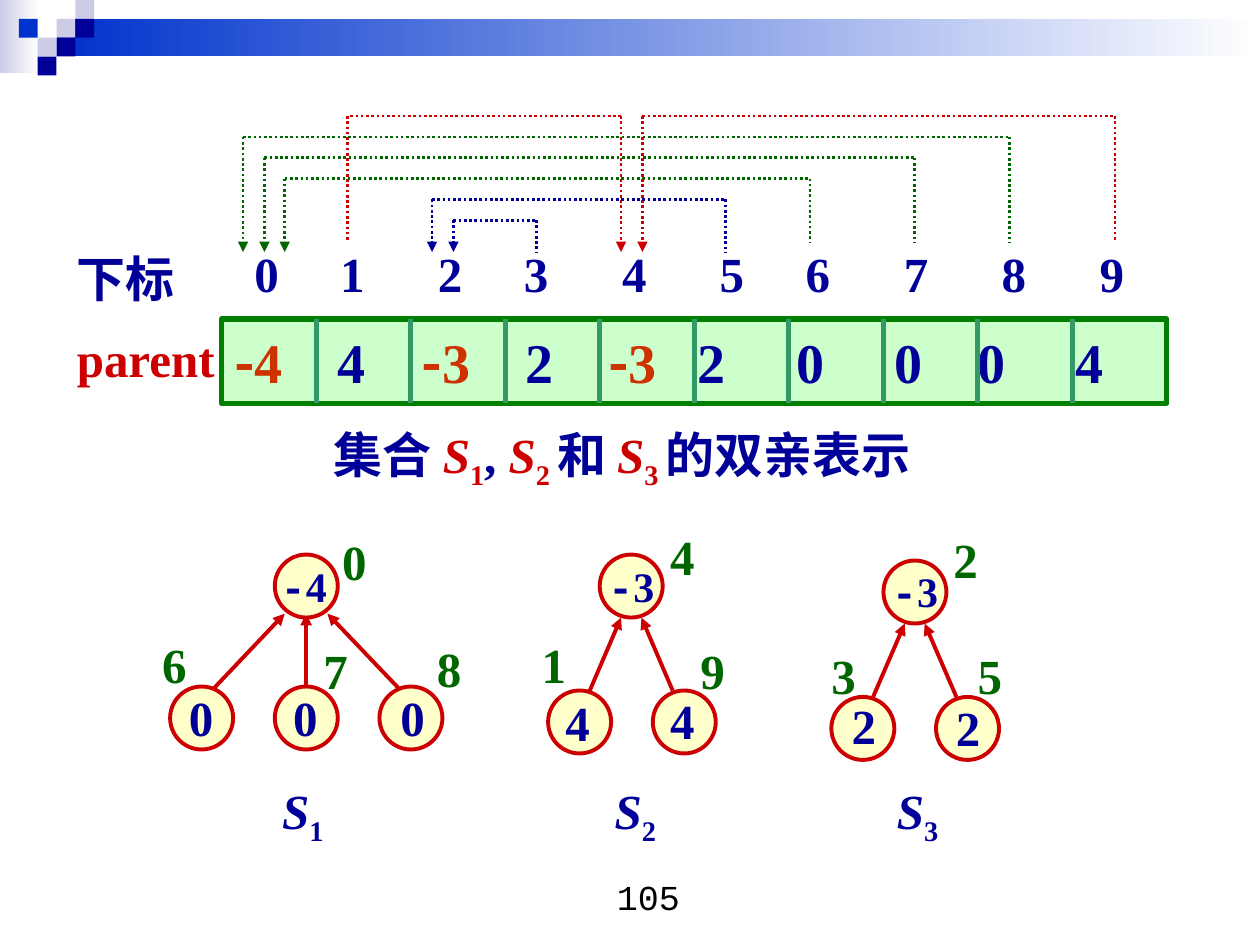
from lxml import etree
from pptx import Presentation
from pptx.dml.color import RGBColor
from pptx.enum.dml import MSO_LINE
from pptx.enum.shapes import MSO_CONNECTOR, MSO_SHAPE
from pptx.enum.text import MSO_ANCHOR, PP_ALIGN
from pptx.oxml.ns import qn
from pptx.util import Cm, Pt

RECTANGLE, OVAL = MSO_SHAPE.RECTANGLE, MSO_SHAPE.OVAL
STRAIGHT = MSO_CONNECTOR.STRAIGHT
DOTTED = MSO_LINE.ROUND_DOT
MIDDLE = MSO_ANCHOR.MIDDLE
LEFT, CENTER = PP_ALIGN.LEFT, PP_ALIGN.CENTER

THEME = {
    "navy": "000099", "blue": "0033CC", "lilac": "CCCCE6", "white": "FFFFFF",
    "red": "CC0000", "orange": "CC3300", "green": "006600", "border": "008000",
    "divider": "339966", "mint": "CCFFCC", "cream": "FFFFCC", "black": "000000",
    "serif": "Times New Roman", "mono": "Courier New", "cjk": "Noto Sans CJK SC",
    "cell": 32, "body": 28, "root": 24, "number": 20,
}


def add_text(frame, paragraphs, tabs=(), align=LEFT, **base):
    frame.word_wrap = True
    for number, spans in enumerate(paragraphs):
        para = frame.add_paragraph() if number else frame.paragraphs[0]
        para.alignment = align
        if number:
            para.space_before = Pt(12.2)
        if tabs:
            tab_list = etree.SubElement(para._p.get_or_add_pPr(), qn("a:tabLst"))
            for stop in tabs:
                etree.SubElement(tab_list, qn("a:tab"), pos=str(Cm(stop)), algn="l")
        for text, changes in spans:
            style = {"color": "navy", "font": "serif", "size": "body",
                     "bold": True, "italic": False, "sub": False} | base | changes
            span = para.add_run()
            span.text = text
            values = {"name": THEME[style["font"]], "size": Pt(THEME[style["size"]]),
                      "bold": style["bold"], "italic": style["italic"]}
            for name, value in values.items():
                setattr(span.font, name, value)
            span.font.color.rgb = RGBColor.from_string(THEME[style["color"]])
            properties = span._r.get_or_add_rPr()
            etree.SubElement(properties, qn("a:ea"), typeface=THEME["cjk"])
            if style["sub"]:
                properties.set("baseline", "-25000")


def add_line(start, end, color, width, dash=None, arrow=False):
    line = page.shapes.add_connector(STRAIGHT, *map(Cm, start + end))
    line.line.color.rgb = RGBColor.from_string(THEME[color])
    line.line.width = Pt(width)
    if dash:
        line.line.dash_style = dash
    if arrow:
        etree.SubElement(line.line._get_or_add_ln(), qn("a:tailEnd"), type="triangle")
    etree.SubElement(line._element.spPr, qn("a:effectLst"))


deck = Presentation()
deck.slide_width, deck.slide_height = Cm(25.4), Cm(19.05)
page = deck.slides.add_slide(deck.slide_layouts[6])

bands = [(0, 0, 0.79, 1.47, "lilac"), (1.14, 0.38, 24.26, 0.76, "blue")]
for left, top, width, height, color in bands:
    band = page.shapes.add_shape(RECTANGLE, Cm(left), Cm(top), Cm(width), Cm(height))
    band.shadow.inherit = False
    band.line.fill.background()
    band.fill.gradient()
    band.fill.gradient_angle = 0
    for stop, name in zip(band.fill.gradient_stops, (color, "white")):
        stop.color.rgb = RGBColor.from_string(THEME[name])

TILE = 0.38
tiles = [(3, 1, "lilac"), (4, 0, "lilac"), (4, 1, "navy"), (2, 2, "lilac"),
         (1, 1, "blue"), (3, 2, "navy"), (2, 3, "navy")]
for column, row, color in tiles:
    tile = page.shapes.add_shape(RECTANGLE, Cm(column * TILE), Cm(row * TILE), Cm(TILE), Cm(TILE))
    tile.shadow.inherit = False
    tile.line.fill.background()
    tile.fill.solid()
    tile.fill.fore_color.rgb = RGBColor.from_string(THEME[color])

row_names = page.shapes.add_textbox(Cm(1.3), Cm(4.88), Cm(4.45), Cm(3.07))
add_text(row_names.text_frame, [[("下标", {})], [("parent", {"color": "red"})]])

BAR_LEFT, BAR_TOP, BAR_WIDTH, BAR_HEIGHT = 4.47, 6.43, 19.05, 1.7
parents = [-4, 4, -3, 2, -3, 2, 0, 0, 0, 4]
bar = page.shapes.add_shape(RECTANGLE, Cm(BAR_LEFT), Cm(BAR_TOP), Cm(BAR_WIDTH), Cm(BAR_HEIGHT))
bar.shadow.inherit = False
bar.fill.solid()
bar.fill.fore_color.rgb = RGBColor.from_string(THEME["mint"])
bar.line.color.rgb = RGBColor.from_string(THEME["border"])
bar.line.width = Pt(3)
bar.text_frame.vertical_anchor = MIDDLE
cell_spans = []
for index, parent in enumerate(parents):
    if index:
        cell_spans.append(("\t", {}))
    if parent < 0:
        cell_spans.append(("-", {"color": "orange", "font": "cjk"}))
    cell_spans.append((str(abs(parent)), {"color": "orange" if parent < 0 else "navy"}))
add_text(bar.text_frame, [cell_spans], size="cell",
         tabs=(2.08, 3.78, 5.87, 7.54, 9.35, 11.33, 13.31, 14.99, 16.97))

for index in range(1, len(parents)):
    x = BAR_LEFT + index * BAR_WIDTH / len(parents)
    add_line((x, BAR_TOP), (x, BAR_TOP + BAR_HEIGHT), "divider", 3)

indexes = page.shapes.add_textbox(Cm(4.88), Cm(4.78), Cm(18.4), Cm(1.45))
add_text(indexes.text_frame, [[("\t".join(map(str, range(len(parents)))), {})]],
         tabs=(1.73, 3.7, 5.43, 7.41, 9.38, 11.11, 13.09, 15.06, 17.04))

LETTER = {"color": "red", "italic": True}
SUBSCRIPT = {"color": "red", "sub": True}
caption = page.shapes.add_textbox(Cm(6.48), Cm(8.43), Cm(14.07), Cm(1.6))
add_text(caption.text_frame, [[
    ("集合 ", {}), ("S", LETTER), ("1", SUBSCRIPT), (", ", {}), ("S", LETTER),
    ("2 ", SUBSCRIPT), ("和 ", {}), ("S", LETTER), ("3 ", SUBSCRIPT), ("的双亲表示", {})]])

ARC_TOP, ARC_STEP, ARROW_END = 2.34, 0.42, 5.08
arcs = [
    (7.01, 12.52, 0, 4.88, "red"), (20.35, 4.9, 1, 4.88, "green"),
    (18.44, 5.33, 2, 4.88, "green"), (16.33, 5.74, 3, 4.88, "green"),
    (22.48, 12.95, 0, 4.88, "red"), (14.63, 8.71, 4, 5.08, "navy"),
    (10.82, 9.14, 5, 5.08, "navy"),
]
for child_x, parent_x, level, foot, color in arcs:
    y = ARC_TOP + level * ARC_STEP
    add_line((child_x, y), (child_x, foot), color, 1.5, DOTTED)
    add_line((parent_x, y), (child_x, y), color, 1.5, DOTTED)
    add_line((parent_x, y), (parent_x, ARROW_END), color, 1.5, DOTTED, arrow=True)

NODE = 1.27
trees = [
    {"number": "1", "caption_x": 5.44,
     "links": [((6.17, 13.84), (6.17, 12.37)), ((8.08, 13.92), (6.6, 12.37)),
               ((4.27, 13.92), (5.74, 12.37))],
     "nodes": [(0, (5.54, 11.18), (6.65, 10.59), (5.41, 11.18)),
               (6, (3.43, 13.84), (3.02, 12.67), (3.56, 13.74)),
               (7, (5.54, 13.84), (6.27, 12.78), (5.66, 13.74)),
               (8, (7.65, 13.84), (8.56, 12.75), (7.82, 13.74))]},
    {"number": "2", "caption_x": 12.14,
     "links": [((11.89, 13.92), (12.52, 12.45)), ((13.56, 13.92), (12.93, 12.45))],
     "nodes": [(4, (12.09, 11.18), (13.26, 10.49), (12.01, 11.18)),
               (1, (11.05, 13.92), (10.67, 12.67), (11.15, 13.84)),
               (9, (13.16, 13.92), (13.87, 12.78), (13.26, 13.79))]},
    {"number": "3", "caption_x": 17.83,
     "links": [((17.6, 14.05), (18.24, 12.57)), ((19.28, 14.05), (18.64, 12.57))],
     "nodes": [(2, (17.81, 11.3), (18.97, 10.54), (17.73, 11.28)),
               (3, (16.76, 14.05), (16.51, 12.88), (16.92, 13.89)),
               (5, (18.87, 14.05), (19.46, 12.88), (19.02, 13.94))]},
]
for tree in trees:
    for start, end in tree["links"]:
        add_line(start, end, "red", 2.25, arrow=True)
    for index, node_at, label_at, value_at in tree["nodes"]:
        node = page.shapes.add_shape(OVAL, *map(Cm, node_at), Cm(NODE), Cm(NODE))
        node.shadow.inherit = False
        node.fill.solid()
        node.fill.fore_color.rgb = RGBColor.from_string(THEME["cream"])
        node.line.color.rgb = RGBColor.from_string(THEME["red"])
        node.line.width = Pt(2.25)
        label = page.shapes.add_textbox(*map(Cm, label_at), Cm(1.07), Cm(1.45))
        add_text(label.text_frame, [[(str(index), {})]], color="green")
        parent = parents[index]
        is_root = parent < 0
        value_size = (1.8, 1.27) if is_root else (1.07, 1.45)
        value = page.shapes.add_textbox(*map(Cm, value_at + value_size))
        sign = [("-", {"font": "mono"})] if is_root else []
        add_text(value.text_frame, [sign + [(str(abs(parent)), {})]],
                 size="root" if is_root else "body")
    name = page.shapes.add_textbox(Cm(tree["caption_x"]), Cm(15.6), Cm(1.57), Cm(1.6))
    add_text(name.text_frame, [[("S", {"italic": True}), (tree["number"], {"sub": True})]])

page_number = page.shapes.add_textbox(Cm(10.11), Cm(17.53), Cm(5.92), Cm(1.32))
add_text(page_number.text_frame, [[("105", {})]], align=CENTER,
         font="mono", size="number", color="black", bold=False)

deck.save("out.pptx")
